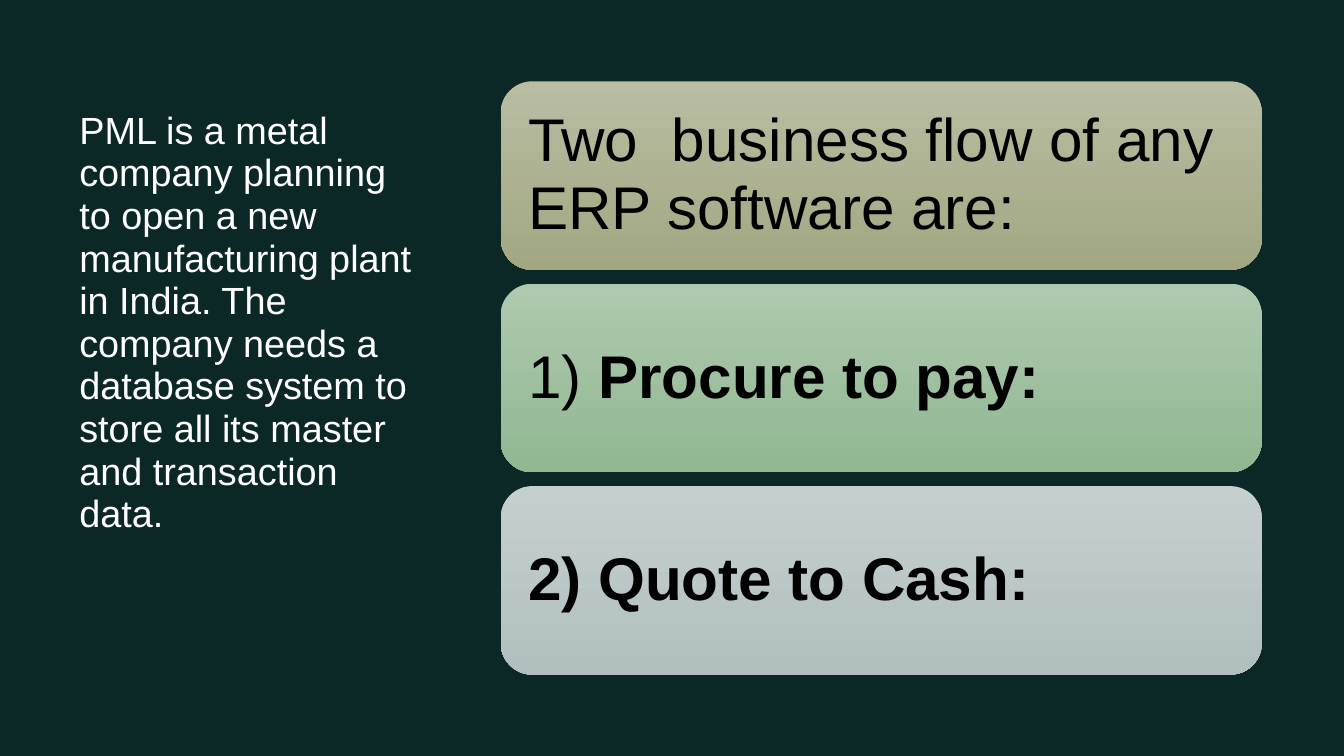
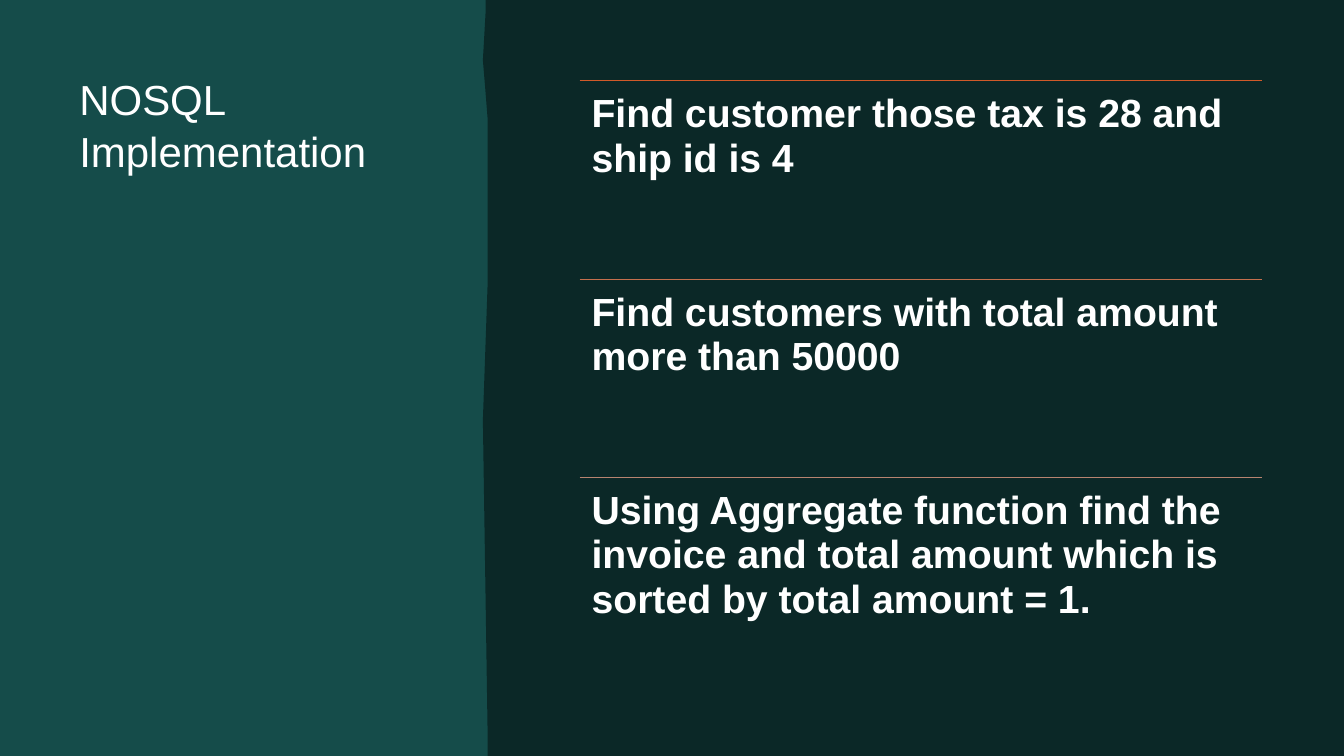
import dataclasses

import pptx
import pptx.dml.color
import pptx.enum.shapes
import pptx.enum.text
import pptx.oxml.ns
import pptx.util
from lxml import etree

Cm = pptx.util.Cm
Pt = pptx.util.Pt
TOP = pptx.enum.text.MSO_ANCHOR.TOP
MIDDLE = pptx.enum.text.MSO_ANCHOR.MIDDLE


@dataclasses.dataclass(frozen=True)
class Theme:
    font: str = "Arial"
    dark: str = "0B2827"
    teal: str = "154C4A"
    light: str = "FFFFFF"
    ink: str = "000000"
    cards: tuple = (("B9BDA2", "A2A782"), ("AEC9AF", "91B892"), ("C6CFCF", "B1BFBF"))
    rules: tuple = ("D15A29", "C46F4D", "B88470")
    intro: int = 27
    title: int = 30
    card: int = 43
    item: int = 28
    tight: float = 0.94
    loose: float = 1.04


def color(code):
    return pptx.dml.color.RGBColor.from_string(code)


def assign(target, values):
    for name, value in values.items():
        setattr(target, name, value)


class Deck:
    def __init__(self, theme, width, height):
        self.theme = theme
        self.file = pptx.Presentation()
        assign(self.file, {"slide_width": Cm(width), "slide_height": Cm(height)})
        self.slide = None

    def page(self, back):
        self.slide = self.file.slides.add_slide(self.file.slide_layouts[6])
        fill = self.slide.background.fill
        fill.solid()
        fill.fore_color.rgb = color(back)

    def label(self, shape, runs, size, ink, inset=0.0, anchor=TOP, space=None):
        """Fill a shape with one paragraph of (text, bold) runs."""
        frame = shape.text_frame
        sides = ("left", "top", "right", "bottom")
        margins = {f"margin_{side}": Cm(inset) for side in sides}
        assign(frame, {"word_wrap": True, "vertical_anchor": anchor, **margins})
        line = frame.paragraphs[0]
        assign(line, {"alignment": pptx.enum.text.PP_ALIGN.LEFT,
                      "line_spacing": space or self.theme.tight})
        for text, bold in runs:
            run = line.add_run()
            run.text = text
            assign(run.font, {"name": self.theme.font, "size": Pt(size), "bold": bold})
            run.font.color.rgb = color(ink)

    def text(self, left, top, width, height, runs, size, **style):
        box = self.slide.shapes.add_textbox(Cm(left), Cm(top), Cm(width), Cm(height))
        self.label(box, runs, size, self.theme.light, **style)

    def card(self, left, top, width, height, shades, runs):
        kind = pptx.enum.shapes.MSO_SHAPE.ROUNDED_RECTANGLE
        card = self.slide.shapes.add_shape(kind, Cm(left), Cm(top), Cm(width), Cm(height))
        card.shadow.inherit = False
        card.line.fill.background()
        card.fill.gradient()
        card.fill.gradient_angle = 270
        for stop, shade in zip(card.fill.gradient_stops, shades):
            stop.color.rgb = color(shade)
        self.label(card, runs, self.theme.card, self.theme.ink, inset=0.46, anchor=MIDDLE)

    def rule(self, left, top, width, shade):
        kind = pptx.enum.shapes.MSO_CONNECTOR.STRAIGHT
        rule = self.slide.shapes.add_connector(
            kind, Cm(left), Cm(top), Cm(left + width), Cm(top))
        rule.line.color.rgb = color(shade)
        rule.line.width = Pt(0.5)
        etree.SubElement(rule._element.spPr, pptx.oxml.ns.qn("a:effectLst"))

    def panel(self, points, shade):
        first, *rest = [(Cm(x), Cm(y)) for x, y in points]
        maker = self.slide.shapes.build_freeform(*first)
        maker.add_line_segments(rest, close=True)
        panel = maker.convert_to_shape()
        panel.shadow.inherit = False
        panel.fill.solid()
        panel.fill.fore_color.rgb = color(shade)
        panel.line.fill.background()


def main():
    theme = Theme()
    wide, high = 33.87, 19.05
    left, column = 2.0, 8.64
    deck = Deck(theme, wide, high)

    # Business flows: intro and stacked cards
    deck.page(theme.dark)
    intro = ("PML is a metal company planning to open a new manufacturing plant in India. "
             "The company needs a database system to store all its master and "
             "transaction data.")
    deck.text(left, 2.77, column, 14, [(intro, False)], theme.intro)
    flows = (
        [("Two  business flow of any ERP software are:", False)],
        [("1) ", False), ("Procure to pay:", True)],
        [("2) Quote to Cash:", True)],
    )
    for row, (shades, runs) in enumerate(zip(theme.cards, flows)):
        deck.card(12.62, 2.05 + row * 5.1, 19.18, 4.75, shades, runs)

    # Queries: side title, uneven panel edge and ruled list
    deck.page(theme.teal)
    edge = [(12.29, high), (12.29, 18.52), (12.17, 10.59), (12.29, 7.14), (12.29, 3),
            (12.23, 2.24), (12.17, 1.52), (12.24, 0.28), (12.24, 0)]
    deck.panel([(wide, 0), (wide, high), *edge], theme.dark)
    deck.text(left, 1.8, column, 15, [("NOSQL Implementation", False)],
              theme.title, space=theme.loose)
    tasks = (
        "Find customer those tax is 28 and ship id is 4",
        "Find customers with total amount more than 50000",
        "Using Aggregate function find the invoice and total amount which is "
        "sorted by total amount = 1.",
    )
    start, width, step = 14.61, 17.19, 5.0
    for row, (shade, task) in enumerate(zip(theme.rules, tasks)):
        top = 2.03 + row * step
        deck.rule(start, top, width, shade)
        deck.text(start, top, width, step, [(task, True)], theme.item, inset=0.3)

    deck.file.save("out.pptx")


if __name__ == "__main__":
    main()
